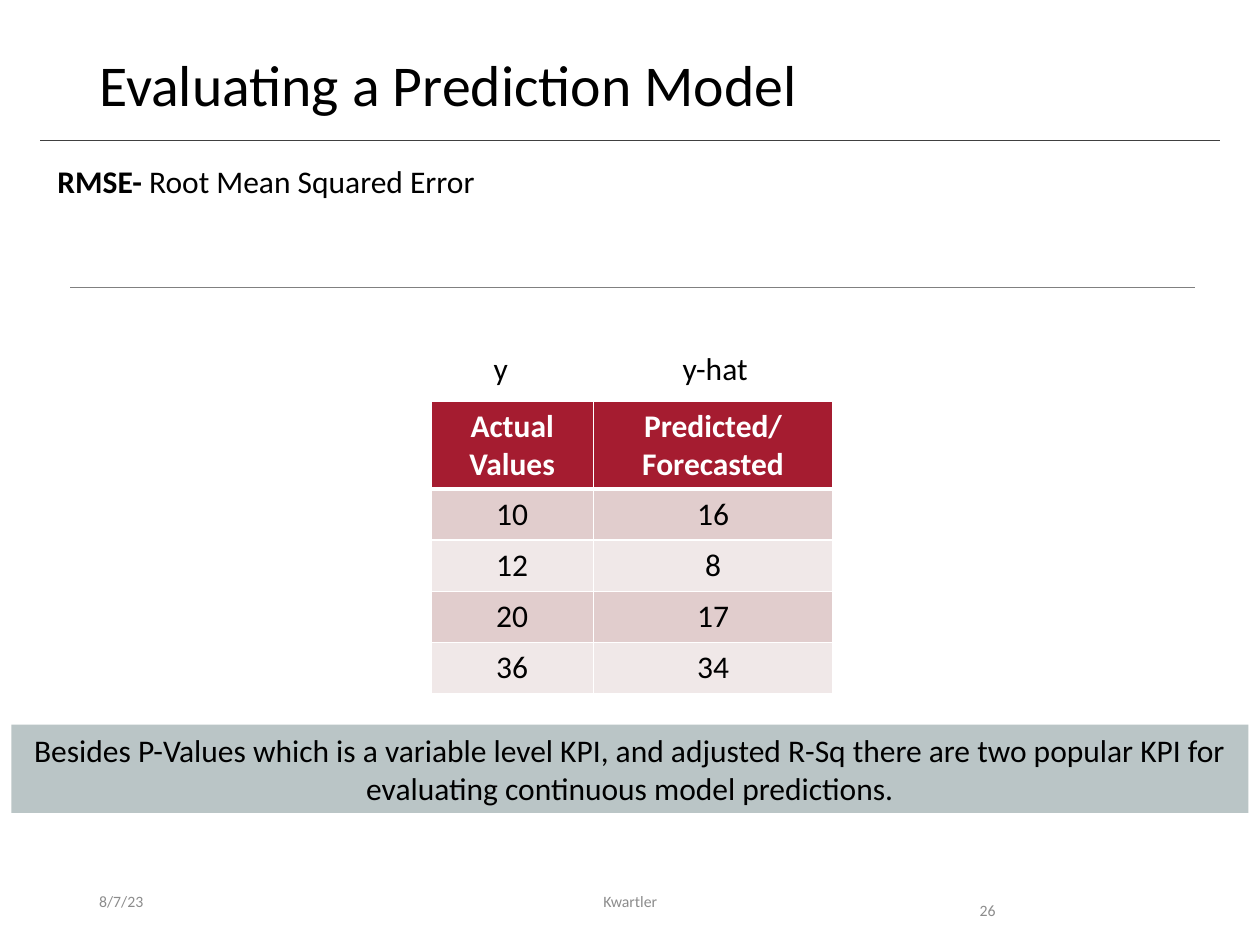
import pptx
import pptx.util
import pptx.dml.color
import pptx.enum.shapes
import pptx.enum.text
import pptx.oxml
import pptx.oxml.ns
from lxml import etree

Cm = pptx.util.Cm
Pt = pptx.util.Pt
RGBColor = pptx.dml.color.RGBColor
ALIGN = pptx.enum.text.PP_ALIGN
ANCHOR = pptx.enum.text.MSO_ANCHOR
qn = pptx.oxml.ns.qn

BLACK = RGBColor(0x00, 0x00, 0x00)
WHITE = RGBColor(0xFF, 0xFF, 0xFF)
CRIMSON = RGBColor(0xA5, 0x1C, 0x30)
ROSE = RGBColor(0xE1, 0xCD, 0xCD)
PALE_ROSE = RGBColor(0xF0, 0xE8, 0xE8)
MIST = RGBColor(0xBA, 0xC5, 0xC6)
CHARCOAL = RGBColor(0x40, 0x40, 0x40)
GRAY = RGBColor(0x80, 0x80, 0x80)
FOOTER_GRAY = RGBColor(0x8C, 0x8C, 0x8C)


def write(frame, text, size=18, color=BLACK, bold=False, align=ALIGN.LEFT,
          anchor=ANCHOR.TOP, wrap=True, spacing=None):
    frame.word_wrap = wrap
    frame.vertical_anchor = anchor
    paragraph = frame.paragraphs[0]
    paragraph.alignment = align
    if spacing:
        paragraph.line_spacing = spacing
    run = paragraph.add_run()
    run.text = text
    run.font.name = "Calibri"
    run.font.size = Pt(size)
    run.font.bold = bold
    run.font.color.rgb = color


deck = pptx.Presentation()
deck.slide_width = Cm(25.4)
deck.slide_height = Cm(19.05)
slide = deck.slides.add_slide(deck.slide_layouts[6])
shapes = slide.shapes

for left, right, height, color in [(0.81, 24.59, 2.84, CHARCOAL), (1.42, 24.08, 5.79, GRAY)]:
    rule = shapes.add_connector(pptx.enum.shapes.MSO_CONNECTOR.STRAIGHT,
                                Cm(left), Cm(height), Cm(right), Cm(height))
    rule.line.color.rgb = color
    rule.line.width = Pt(0.5)
    etree.SubElement(rule.element.spPr, qn("a:effectLst"))

title = shapes.add_textbox(Cm(1.75), Cm(1.02), Cm(21.9), Cm(1.65))
write(title.text_frame, "Evaluating a Prediction Model", size=33, spacing=0.9)

metric = shapes.add_textbox(Cm(0.91), Cm(3.15), Cm(9.04), Cm(1.02))
write(metric.text_frame, "RMSE-", bold=True, wrap=False)
write(metric.text_frame, " Root Mean Squared Error", wrap=False)

for label, left, width in [("y", 9.7, 0.81), ("y-hat", 13.51, 1.85)]:
    symbol = shapes.add_textbox(Cm(left), Cm(6.91), Cm(width), Cm(1.02))
    write(symbol.text_frame, label, wrap=False)

takeaway = shapes.add_shape(pptx.enum.shapes.MSO_SHAPE.RECTANGLE,
                            Cm(0.23), Cm(14.61), Cm(24.94), Cm(1.78))
takeaway.shadow.inherit = False
takeaway.fill.solid()
takeaway.fill.fore_color.rgb = MIST
takeaway.line.fill.background()
write(takeaway.text_frame,
      "Besides P-Values which is a variable level KPI, and adjusted R-Sq there are "
      "two popular KPI for evaluating continuous model predictions.",
      align=ALIGN.CENTER, anchor=ANCHOR.MIDDLE)

results = [("Actual Values", "Predicted/Forecasted"),
           ("10", "16"), ("12", "8"), ("20", "17"), ("36", "34")]
forecast = shapes.add_table(len(results), 2, Cm(8.69), Cm(8.08), Cm(8.1), Cm(6)).table
forecast.columns[0].width = Cm(3.27)
forecast.columns[1].width = Cm(4.83)
for row, values in enumerate(results):
    header = row == 0
    forecast.rows[row].height = Cm(1.76 if header else 1.03)
    for column, value in enumerate(values):
        cell = forecast.cell(row, column)
        write(cell.text_frame, value, color=WHITE if header else BLACK,
              bold=header, align=ALIGN.CENTER)
        for side in ("L", "R", "T", "B"):
            thick = (header and side == "B") or (row == 1 and side == "T")
            border = etree.SubElement(cell._tc.get_or_add_tcPr(), qn(f"a:ln{side}"),
                                      w=str(Pt(3 if thick else 1)))
            paint = etree.SubElement(border, qn("a:solidFill"))
            etree.SubElement(paint, qn("a:srgbClr"), val=str(WHITE))
        cell.fill.solid()
        cell.fill.fore_color.rgb = CRIMSON if header else ROSE if row % 2 else PALE_ROSE

for text, left, width, align, spacing in [
    ("8/7/23", 1.75, 5.72, ALIGN.LEFT, None),
    ("Kwartler", 8.41, 8.59, ALIGN.CENTER, None),
    ("26", 17.93, 2.39, ALIGN.RIGHT, 2),
]:
    footer = shapes.add_textbox(Cm(left), Cm(17.65), Cm(width), Cm(1.02))
    write(footer.text_frame, text, size=9, color=FOOTER_GRAY, align=align,
          anchor=ANCHOR.MIDDLE, spacing=spacing)

deck.save("out.pptx")
